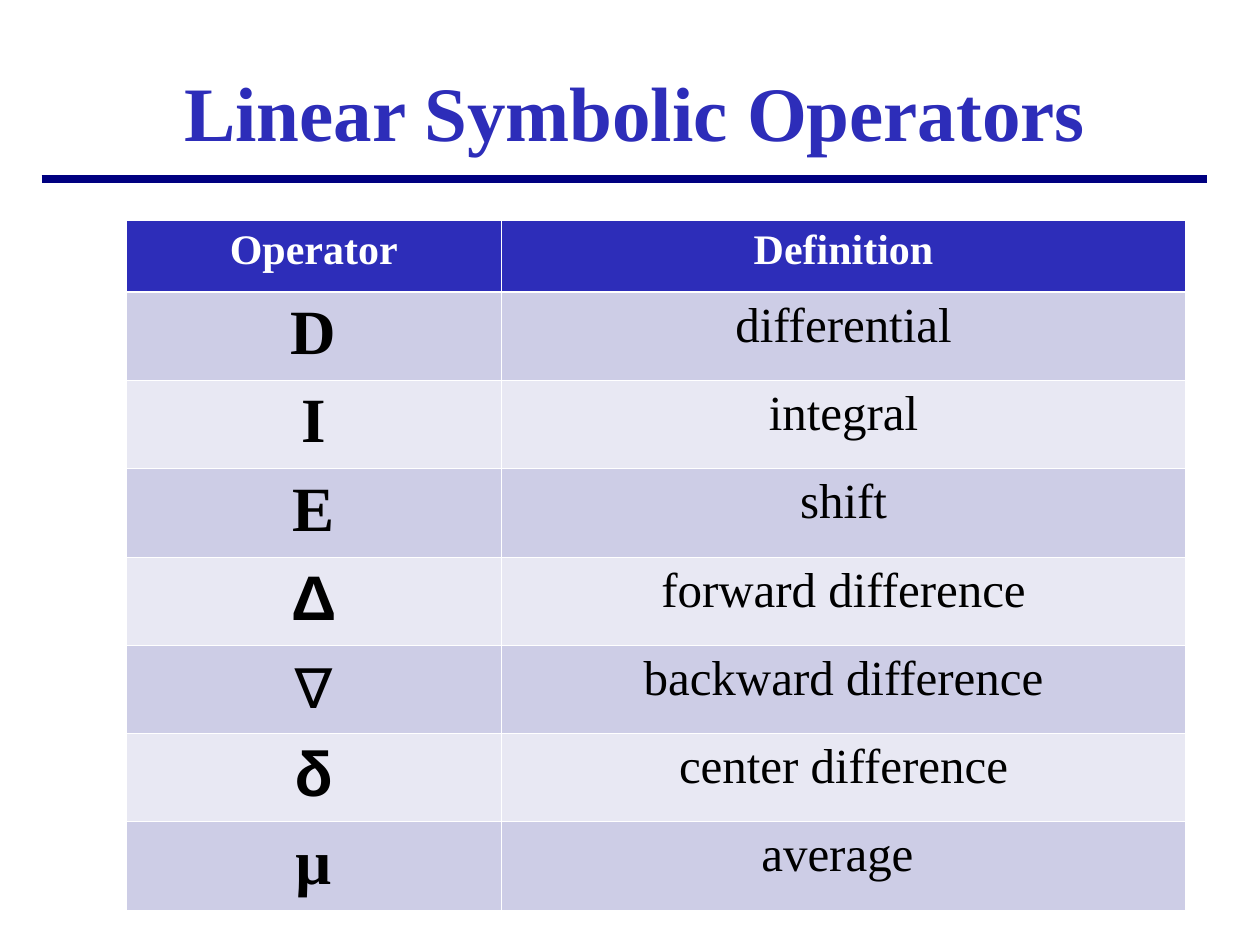
from typing import NamedTuple

from lxml.etree import SubElement
from pptx import Presentation
from pptx.dml.color import RGBColor
from pptx.enum.shapes import MSO_CONNECTOR
from pptx.enum.text import MSO_ANCHOR, PP_ALIGN
from pptx.oxml.ns import qn
from pptx.util import Inches, Pt

SERIF, SANS = "Times New Roman", "Arial"
BLUE, NAVY, WHITE, BLACK = "2D2DB9", "000080", "FFFFFF", "000000"
BANDS = ("CDCDE6", "E8E8F3")
THIN, THICK = 0.45, 1.47


class Style(NamedTuple):
    size: int
    color: str = BLACK
    bold: bool = True
    font: str = SERIF


class Entry(NamedTuple):
    sign: str
    name: str
    font: str = SERIF


ENTRIES = [
    Entry("D", "differential"),
    Entry("I", "integral"),
    Entry("E", "shift"),
    Entry("Δ", "forward difference", SANS),
    Entry("∇", "backward difference", SANS),
    Entry("δ", "center difference", SANS),
    Entry("µ", "average "),
]


def paint(target, color: str) -> None:
    target.rgb = RGBColor.from_string(color)


def write(frame, text: str, style: Style) -> None:
    para = frame.paragraphs[0]
    para.alignment = PP_ALIGN.CENTER
    run = para.add_run()
    run.text = text
    run.font.name = style.font
    run.font.size = Pt(style.size)
    run.font.bold = style.bold
    paint(run.font.color, style.color)


def edge(cell, side: str, width: float) -> None:
    line = SubElement(cell._tc.get_or_add_tcPr(), qn(f"a:ln{side}"),
                      w=str(int(Pt(width))))
    fill = SubElement(line, qn("a:solidFill"))
    SubElement(fill, qn("a:srgbClr"), val=WHITE)


def draw_cell(cell, row: int, text: str, style: Style) -> None:
    # Borders come before the fill in the cell properties
    edge(cell, "L", THIN)
    edge(cell, "R", THIN)
    edge(cell, "T", THICK if row == 1 else THIN)
    edge(cell, "B", THICK if row == 0 else THIN)
    cell.fill.solid()
    paint(cell.fill.fore_color, BANDS[(row - 1) % 2] if row else BLUE)
    write(cell.text_frame, text, style)


def draw_title(slide) -> None:
    box = slide.shapes.add_textbox(Inches(0.25), Inches(0.25),
                                   Inches(9.58), Inches(1.25))
    frame = box.text_frame
    frame.word_wrap = True
    frame.vertical_anchor = MSO_ANCHOR.MIDDLE
    write(frame, "Linear Symbolic Operators", Style(44, BLUE))


def draw_rule(slide) -> None:
    rule = slide.shapes.add_connector(MSO_CONNECTOR.STRAIGHT, Inches(0.33),
                                      Inches(1.42), Inches(9.58), Inches(1.42))
    paint(rule.line.color, NAVY)
    rule.line.width = Pt(5)
    SubElement(rule._element.spPr, qn("a:effectLst"))


def draw_table(slide) -> None:
    table = slide.shapes.add_table(len(ENTRIES) + 1, 2, Inches(1), Inches(1.75),
                                   Inches(8.42), Inches(5.49)).table
    for col, width in zip(table.columns, (2.98, 5.43)):
        col.width = Inches(width)
    for num, row in enumerate(table.rows):
        row.height = Inches(0.7 if num else 0.57)

    # Header row
    for col, text in enumerate(("Operator", "Definition")):
        draw_cell(table.cell(0, col), 0, text, Style(24, WHITE))

    # One row per operator
    for row, entry in enumerate(ENTRIES, 1):
        draw_cell(table.cell(row, 0), row, entry.sign,
                  Style(36, font=entry.font))
        draw_cell(table.cell(row, 1), row, entry.name, Style(28, bold=False))


def main() -> None:
    deck = Presentation()
    deck.slide_width, deck.slide_height = Inches(10), Inches(7.5)
    slide = deck.slides.add_slide(deck.slide_layouts[6])
    draw_title(slide)
    draw_rule(slide)
    draw_table(slide)
    deck.save("out.pptx")


if __name__ == "__main__":
    main()
